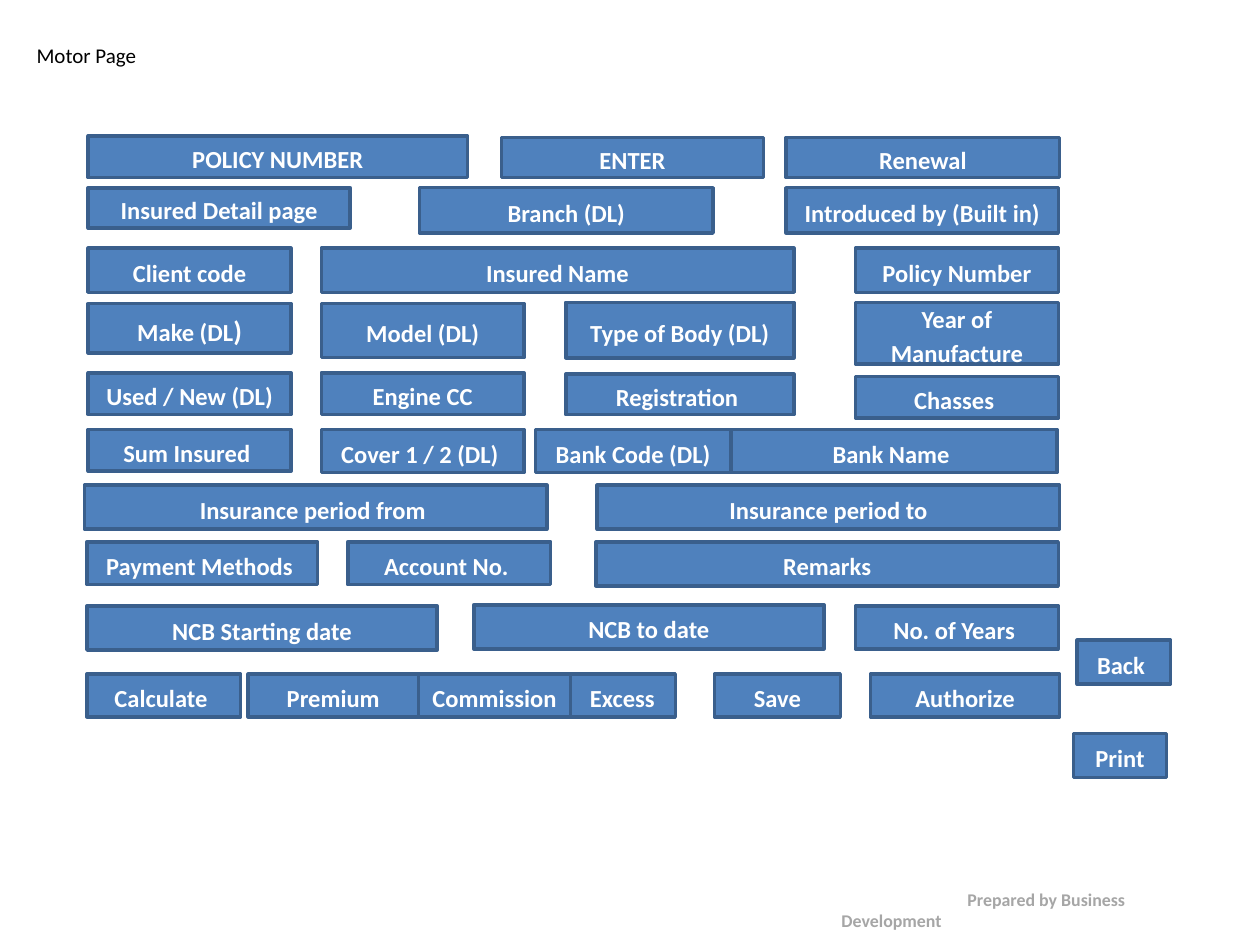
import pptx
import pptx.util
import pptx.dml.color
import pptx.enum.shapes
import pptx.enum.text

Inches = pptx.util.Inches
Pt = pptx.util.Pt
ALIGN = pptx.enum.text.PP_ALIGN
ANCHOR = pptx.enum.text.MSO_ANCHOR

COLORS = {"field": "4F81BD", "border": "3A5F8C", "label": "FFFFFF",
          "title": "000000", "credit": "A6A6A6"}

NARROW = 1.61
COLUMNS = (0, 1.85, 3.79, 6.09)

# FIELD_ROWS: top, height, space after, (label, left, width[, drop, height])
FIELD_ROWS = [
    (0, 0.32, 0, [("POLICY NUMBER", 0, 3.01, 0, 0.33), ("ENTER", 3.28, 2.08, 0.01),
                  ("Renewal", 5.54, 2.17, 0.01)]),
    (0.41, 0.36, 0, [("Insured Detail page", 0, 2.08, 0, 0.32), ("Branch (DL)", 2.63, 2.33),
                     ("Introduced by (Built in)", 5.54, 2.16)]),
    (0.89, 0.35, 10, [("Client code", COLUMNS[0], NARROW), ("Insured Name", COLUMNS[1], 3.75),
                      ("Policy Number", COLUMNS[3], NARROW)]),
    (1.32, 0.43, 10, [("Make (DL|)", COLUMNS[0], NARROW, 0.01, 0.39),
                      ("Model (DL)", COLUMNS[1], NARROW, 0.01),
                      ("Type of Body (DL)", COLUMNS[2], 1.81, 0, 0.44),
                      ("Year of Manufacture", COLUMNS[3], NARROW, 0, 0.49)]),
    (1.88, 0.33, 10, [("Used / New (DL)", COLUMNS[0], NARROW), ("Engine CC", COLUMNS[1], NARROW),
                      ("Registration ", COLUMNS[2], 1.81, 0.01, 0.32),
                      ("Chasses ", COLUMNS[3], NARROW, 0.03)]),
    (2.33, 0.34, 10, [("Sum Insured ", COLUMNS[0], NARROW, 0, 0.33),
                      ("Cover 1 / 2 (DL) ", COLUMNS[1], NARROW),
                      ("Bank Name ", 5.1, 2.59), ("Bank Code (DL)", 3.55, 1.55)]),
    (2.77, 0.35, 10, [("Insurance period from ", -0.03, 3.67), ("Insurance period to", 4.04, 3.67)]),
    (3.22, 0.34, 10, [("Payment Methods ", -0.01, 1.83), ("Account No. ", 2.06, NARROW),
                      ("Remarks", 4.03, 3.67, 0, 0.35)]),
    (3.72, 0.35, 10, [("NCB Starting date", -0.01, 2.78, 0.01), ("NCB to date", 3.06, 2.78),
                      ("No. of Years ", COLUMNS[3], NARROW, 0.01, 0.34)]),
    (4.27, 0.34, 10, [("Calculate ", -0.01, 1.22), ("Excess", 3.82, 0.84), ("Premium", 1.27, 1.35),
                      ("Commission", 2.62, 1.21), ("Save", 4.97, 1), ("Authorize", 6.21, 1.5)]),
]
SIDE_BUTTONS = [("Back ", 0.03, 0), ("Print", 0, 0.74)]


def color(name):
    return pptx.dml.color.RGBColor.from_string(COLORS[name])


def write(frame, text, sizes=(14,), ink="label", bold=True, align=ALIGN.CENTER,
          anchor=ANCHOR.MIDDLE, wrap=True, spacing=None, before=None, after=None):
    frame.word_wrap = wrap
    frame.vertical_anchor = anchor
    paragraph = frame.paragraphs[0]
    paragraph.alignment = align
    if spacing is not None:
        paragraph.line_spacing = spacing
    if before is not None:
        paragraph.space_before = Pt(before)
    if after is not None:
        paragraph.space_after = Pt(after)
    for words, size in zip(text.split("|"), sizes):
        run = paragraph.add_run()
        run.text = words
        run.font.name = "Calibri"
        run.font.size = Pt(size)
        run.font.bold = bold
        run.font.color.rgb = color(ink)
    return paragraph


def add_field(slide, label, left, top, width, height, after):
    field = slide.shapes.add_shape(pptx.enum.shapes.MSO_SHAPE.RECTANGLE, Inches(left),
                                   Inches(top), Inches(width), Inches(height))
    field.shadow.inherit = False
    field.fill.solid()
    field.fill.fore_color.rgb = color("field")
    field.line.color.rgb = color("border")
    field.line.width = Pt(2)
    write(field.text_frame, label, sizes=(14, 16), spacing=1.15, after=after)


def add_form(slide, left, top):
    for row_top, row_height, after, fields in FIELD_ROWS:
        for label, x, width, *adjust in fields:
            drop = adjust[0] if adjust else 0
            height = adjust[1] if len(adjust) > 1 else row_height
            add_field(slide, label, left + x, top + row_top + drop, width, height, after)


def add_side_buttons(slide, left, top):
    for label, x, y in SIDE_BUTTONS:
        add_field(slide, label, left + x, top + y, 0.74, 0.35, 10)


def add_heading(slide, left, top, width, height):
    heading = slide.shapes.title
    heading.left, heading.top = Inches(left), Inches(top)
    heading.width, heading.height = Inches(width), Inches(height)
    write(heading.text_frame, "Motor Page", sizes=(12,), ink="title", bold=False,
          align=ALIGN.LEFT, wrap=False)
    heading.text_frame.auto_size = pptx.enum.text.MSO_AUTO_SIZE.NONE


def add_credit(slide, left, top, width, height):
    credit = slide.shapes.add_textbox(Inches(left), Inches(top), Inches(width), Inches(height))
    paragraph = write(credit.text_frame, "Prepared by Business Development", sizes=(10.2,),
                      ink="credit", align=ALIGN.LEFT, anchor=ANCHOR.TOP, before=2)
    properties = paragraph._p.get_or_add_pPr()
    properties.set("marL", "0")
    properties.set("indent", str(Inches(1)))


presentation = pptx.Presentation()
presentation.slide_width = Inches(10)
presentation.slide_height = Inches(7.5)
motor_page = presentation.slides.add_slide(presentation.slide_layouts[5])
add_heading(motor_page, 0.19, 0.29, 1, 0.3)
add_form(motor_page, 0.7, 1.08)
add_side_buttons(motor_page, 8.52, 5.08)
add_credit(motor_page, 6.58, 7, 3.25, 0.25)
presentation.save("out.pptx")
